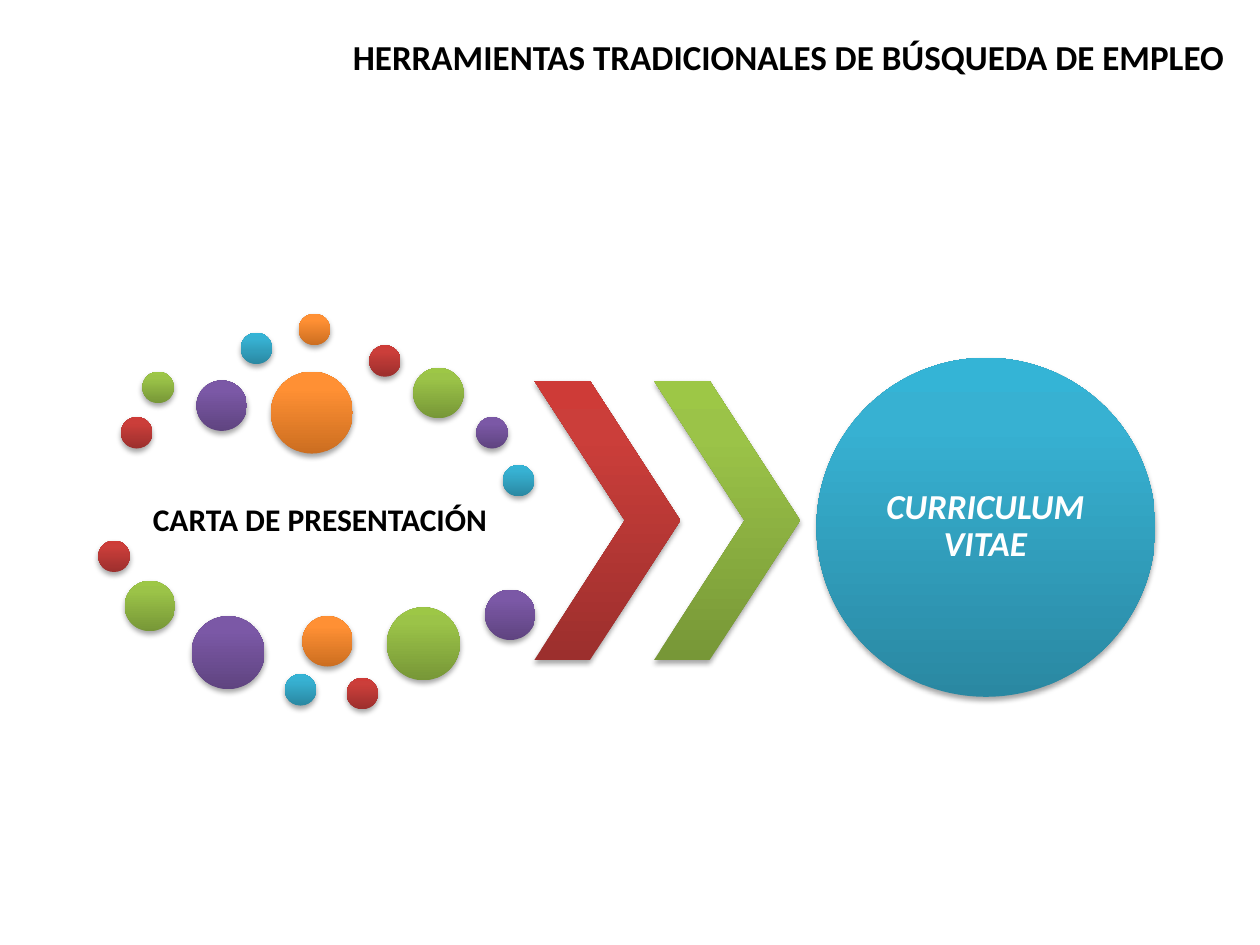
from copy import deepcopy
from dataclasses import dataclass
from itertools import cycle

from lxml import etree
from pptx import Presentation
from pptx import util as u
from pptx.dml.color import RGBColor
from pptx.enum import shapes, text
from pptx.oxml.ns import qn

BLACK = RGBColor(0x00, 0x00, 0x00)
WHITE = RGBColor(0xFF, 0xFF, 0xFF)
FONT = "Calibri"


@dataclass(frozen=True)
class Tone:
    """Gradient colours from the bottom edge to the top."""
    dark: RGBColor
    mid: RGBColor
    light: RGBColor


@dataclass(frozen=True)
class Dot:
    left: float
    top: float
    size: float


RED = Tone(RGBColor(0x9C, 0x2F, 0x2D), RGBColor(0xCB, 0x3E, 0x3A), RGBColor(0xCE, 0x3B, 0x37))
GREEN = Tone(RGBColor(0x77, 0x97, 0x37), RGBColor(0x9B, 0xC3, 0x48), RGBColor(0x9D, 0xC7, 0x46))
PURPLE = Tone(RGBColor(0x5F, 0x44, 0x80), RGBColor(0x7B, 0x58, 0xA6), RGBColor(0x7C, 0x57, 0xA8))
BLUE = Tone(RGBColor(0x2A, 0x88, 0xA2), RGBColor(0x37, 0xB1, 0xD2), RGBColor(0x34, 0xB4, 0xD6))
ORANGE = Tone(RGBColor(0xCC, 0x6E, 0x20), RGBColor(0xFF, 0x90, 0x34), RGBColor(0xFF, 0x91, 0x36))
TONES = (RED, GREEN, PURPLE, BLUE, ORANGE)

# Dot sizes
TINY, SMALL, LARGE, HUGE = 0.25, 0.4, 0.58, 0.65

DOTS = (
    # Upper arc
    Dot(0.96, 3.31, TINY), Dot(1.13, 2.95, TINY), Dot(1.56, 3.02, SMALL),
    Dot(1.91, 2.64, TINY), Dot(2.37, 2.49, TINY), Dot(2.93, 2.74, TINY),
    Dot(3.28, 2.92, SMALL), Dot(3.78, 3.31, TINY), Dot(3.99, 3.69, TINY),
    Dot(2.15, 2.95, HUGE),
    # Lower arc
    Dot(0.78, 4.29, TINY), Dot(0.99, 4.61, SMALL), Dot(1.52, 4.89, LARGE),
    Dot(2.26, 5.35, TINY), Dot(2.4, 4.89, SMALL), Dot(2.75, 5.38, TINY),
    Dot(3.07, 4.82, LARGE), Dot(3.85, 4.68, SMALL),
)


def place(shape, left: float, top: float, width: float, height: float) -> None:
    shape.left, shape.top = u.Inches(left), u.Inches(top)
    shape.width, shape.height = u.Inches(width), u.Inches(height)


def write(shape, words: str, *, size: float, color: RGBColor, italic: bool = False,
          inset: float = 0.0, side: float | None = None, leading: float = 0.9) -> None:
    """Put centred bold text in a shape; side overrides the left and right inset."""
    frame = shape.text_frame
    frame.word_wrap = True
    frame.auto_size = text.MSO_AUTO_SIZE.NONE
    frame.vertical_anchor = text.MSO_ANCHOR.MIDDLE
    frame.margin_top = frame.margin_bottom = u.Inches(inset)
    frame.margin_left = frame.margin_right = u.Inches(inset if side is None else side)
    para = frame.paragraphs[0]
    para.alignment = text.PP_ALIGN.CENTER
    para.line_spacing = leading
    run = para.add_run()
    run.text = words
    font = run.font
    font.name, font.size, font.color.rgb = FONT, u.Pt(size), color
    font.bold, font.italic = True, italic


def shade(shape, tone: Tone) -> None:
    """Fill with a three-stop gradient that rises from dark to light."""
    shape.fill.gradient()
    shape.fill.gradient_angle = 90
    stops = shape._element.spPr.find(".//" + qn("a:gsLst"))
    stops.append(deepcopy(stops[-1]))
    colors = (tone.dark, tone.mid, tone.light)
    for stop, color, spot in zip(shape.fill.gradient_stops, colors, (0, 0.8, 1)):
        stop.color.rgb, stop.position = color, spot


def drop(shape) -> None:
    """Cast a soft shadow straight down."""
    shape.shadow.inherit = False
    effects = shape._element.spPr.find(qn("a:effectLst"))
    cast = etree.SubElement(effects, qn("a:outerShdw"), blurRad=str(u.Pt(3.1)),
                            dist=str(u.Pt(1.8)), dir="5400000", rotWithShape="0")
    ink = etree.SubElement(cast, qn("a:srgbClr"), val=str(BLACK))
    etree.SubElement(ink, qn("a:alpha"), val="35000")


def draw(slide, kind, tone: Tone, left: float, top: float, width: float, height: float):
    shape = slide.shapes.add_shape(kind, *map(u.Inches, (left, top, width, height)))
    shade(shape, tone)
    shape.line.fill.background()
    drop(shape)
    return shape


def label(slide, left: float, top: float, width: float, height: float):
    return slide.shapes.add_textbox(*map(u.Inches, (left, top, width, height)))


def main() -> None:
    deck = Presentation()
    deck.slide_width, deck.slide_height = u.Inches(10), u.Inches(7.5)
    slide = deck.slides.add_slide(deck.slide_layouts[5])
    oval = shapes.MSO_SHAPE.OVAL

    # Title
    title = slide.shapes.title
    place(title, 2.64, 0.21, 7.24, 0.47)
    write(title, "HERRAMIENTAS TRADICIONALES DE BÚSQUEDA DE EMPLEO",
          size=20, color=BLACK, inset=0.05, side=0.1, leading=1.0)

    # Cover letter ringed by dots
    letter = label(slide, 0.96, 3.62, 3.16, 1.04)
    write(letter, "CARTA DE PRESENTACIÓN", size=18, color=BLACK, inset=0.03)
    for dot, tone in zip(DOTS, cycle(TONES)):
        draw(slide, oval, tone, dot.left, dot.top, dot.size, dot.size)

    # Chevrons
    for i, tone in enumerate((RED, GREEN)):
        arrow = draw(slide, shapes.MSO_SHAPE.CHEVRON, tone, 4.24 + 0.95 * i, 3.02, 1.16, 2.22)
        arrow.adjustments[0] = 0.62

    # Curriculum circle
    draw(slide, oval, BLUE, 6.48, 2.84, 2.69, 2.69)
    resume = label(slide, 6.87, 3.23, 1.9, 1.9)
    write(resume, "CURRICULUM VITAE", size=20, color=WHITE, italic=True)

    deck.save("out.pptx")


if __name__ == "__main__":
    main()
